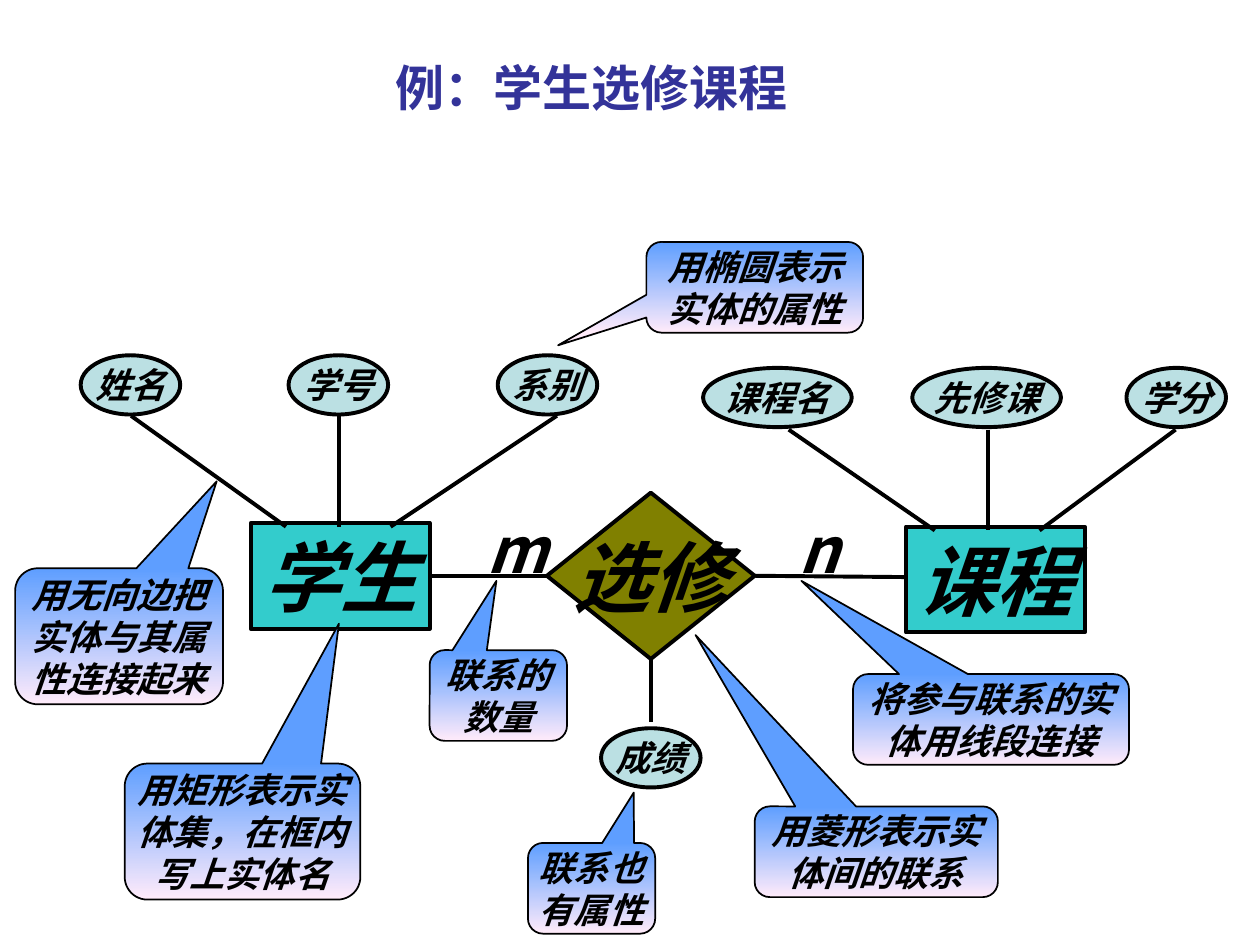
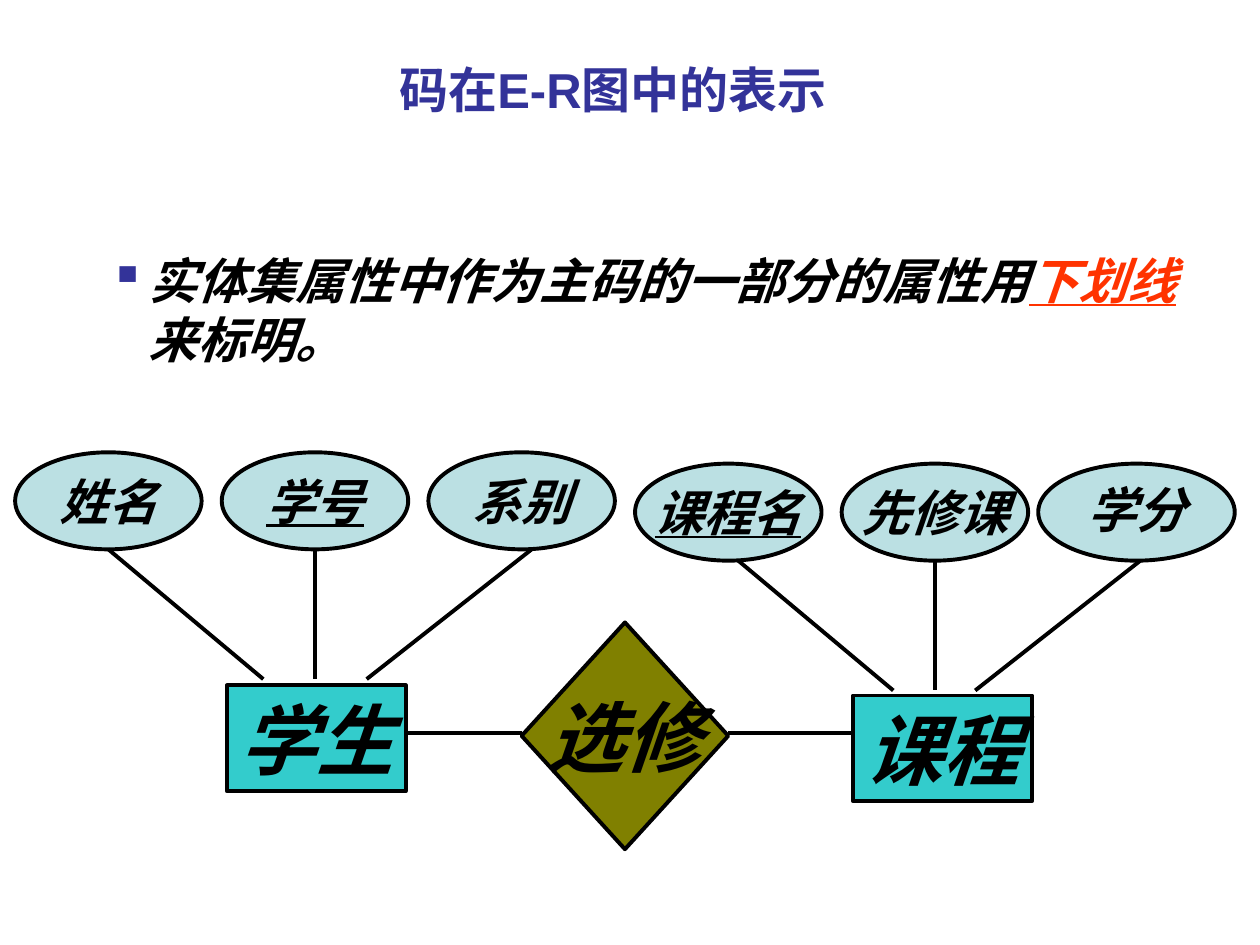
from lxml.etree import SubElement
from pptx import Presentation
from pptx.dml.color import RGBColor
from pptx.enum.shapes import MSO_CONNECTOR as Connector, MSO_SHAPE as Shape
from pptx.enum.text import MSO_ANCHOR as Anchor, PP_ALIGN as Align
from pptx.oxml.ns import qn
from pptx.util import Emu, Pt

BLACK, NAVY, RED = "000000", "333399", "FF3300"
TEAL, OLIVE, PALE = "33CCCC", "808000", "BBE0E3"
CALLOUT_TOP, CALLOUT_BOTTOM = "5E9EFF", "FFEBFA"
LATIN_FONT, CHINESE_FONT = "Arial", "Noto Sans CJK JP"


def px(*lengths):
    return [Emu(length * 9144) for length in lengths]


def colour(value):
    return RGBColor.from_string(value)


class Deck:
    """Holds the diagram style and the current slide."""

    def __init__(self):
        self.presentation = Presentation()
        self.presentation.slide_width, self.presentation.slide_height = px(1000, 750)

    def new_slide(self, title, left, top, font, attribute_size, keys=()):
        layout = self.presentation.slide_layouts[6]
        self.slide = self.presentation.slides.add_slide(layout)
        self.font = font
        self.attribute_size = attribute_size
        self.keys = keys
        self.textbox((left, top, 667, 57), title, 28, LATIN_FONT, NAVY, italic=False)

    def format_run(self, run, size, font, ink=BLACK, italic=True, underline=False):
        run.font.size = Pt(size)
        run.font.name = font
        run.font.bold = True
        run.font.italic = italic
        run.font.color.rgb = colour(ink)
        if underline:
            run.font.underline = True
        SubElement(run.font._element, qn("a:ea"), typeface=font)

    def set_text(self, frame, text, *style, **options):
        frame.text = text
        for paragraph in frame.paragraphs:
            paragraph.alignment = Align.CENTER
            for run in paragraph.runs:
                self.format_run(run, *style, **options)

    def textbox(self, box, text, *style, wrap=True, anchor=Anchor.TOP, **options):
        frame = self.slide.shapes.add_textbox(*px(*box)).text_frame
        frame.word_wrap = wrap
        frame.vertical_anchor = anchor
        self.set_text(frame, text, *style, **options)

    def cardinality(self, text, left):
        self.textbox((left, 421, 33, 29), text, 36, self.font,
                     wrap=False, anchor=Anchor.MIDDLE)

    def shape(self, kind, box, text, size, fill=None, outline=2.25, wrap=False, underline=False):
        shape = self.slide.shapes.add_shape(kind, *px(*box))
        shape.shadow.inherit = False
        shape.line.color.rgb = colour(BLACK)
        shape.line.width = Pt(outline)
        if fill:
            shape.fill.solid()
            shape.fill.fore_color.rgb = colour(fill)
        frame = shape.text_frame
        frame.word_wrap = wrap
        frame.vertical_anchor = Anchor.MIDDLE
        frame.margin_left = frame.margin_right = frame.margin_top = frame.margin_bottom = 0
        self.set_text(frame, text, size, self.font, underline=underline)
        return shape

    def attribute(self, box, text):
        return self.shape(Shape.OVAL, box, text, self.attribute_size, PALE,
                          underline=text in self.keys)

    def relationship(self, box, text):
        self.shape(Shape.DIAMOND, box, text, 44, OLIVE)

    def callout(self, text, box, tip):
        shape = self.shape(Shape.ROUNDED_RECTANGULAR_CALLOUT, box, text, 20, outline=1, wrap=True)
        left, top, width, height = box
        shape.adjustments[0] = (tip[0] - left) / width - 0.5
        shape.adjustments[1] = (tip[1] - top) / height - 0.5
        shape.fill.gradient()
        shape.fill.gradient_angle = 270
        for stop, shade in zip(shape.fill.gradient_stops, (CALLOUT_TOP, CALLOUT_BOTTOM)):
            stop.color.rgb = colour(shade)
        shape.fill.gradient_stops[0].position = 0
        shape.fill.gradient_stops[1].position = 1
        for paragraph in shape.text_frame.paragraphs:
            paragraph.line_spacing = Pt(24)

    def line(self, *ends):
        connector = self.slide.shapes.add_connector(Connector.STRAIGHT, *px(*ends))
        connector.line.color.rgb = colour(BLACK)
        connector.line.width = Pt(2.25)
        SubElement(connector._element.spPr, qn("a:effectLst"))

    def entity(self, name, corner, attributes, top, height, links, link_top, link_bottom):
        self.shape(Shape.RECTANGLE, (*corner, 142, 84), name, 44, TEAL)
        ovals = [self.attribute((left, top, width, height), text)
                 for text, left, width in attributes]
        for upper, lower in links:
            self.line(upper, link_top, lower, link_bottom)
        return ovals

    def bullet(self, box, pieces, size):
        frame = self.slide.shapes.add_textbox(*px(*box)).text_frame
        frame.word_wrap = True
        paragraph = frame.paragraphs[0]
        paragraph.level = 1
        properties = paragraph._p.get_or_add_pPr()
        indent, hanging = px(81, -31)
        properties.set("marL", str(indent))
        properties.set("indent", str(hanging))
        marker_colour = SubElement(properties, qn("a:buClr"))
        SubElement(marker_colour, qn("a:srgbClr"), val=NAVY)
        SubElement(properties, qn("a:buChar"), char="▪")
        for text, ink, underline in pieces:
            run = paragraph.add_run()
            run.text = text
            self.format_run(run, size, LATIN_FONT, ink, underline=underline)


CALLOUTS = [
    ("用矩形表示实体集，在框内写上实体名", (99, 606, 187, 108), (269, 495)),
    ("用椭圆表示实体的属性", (513, 192, 172, 72), (443, 274)),
    ("用无向边把实体与其属性连接起来", (12, 451, 165, 108), (172, 382)),
    ("用菱形表示实体间的联系", (599, 640, 193, 72), (552, 504)),
    ("将参与联系的实体用线段连接", (677, 535, 219, 72), (636, 461)),
    ("联系的\n数量", (341, 516, 109, 72), (394, 461)),
    ("联系也有属性", (419, 669, 101, 72), (503, 629)),
]


def build_example(deck):
    deck.new_slide("例：学生选修课程", 136, 41, CHINESE_FONT, 20)
    deck.relationship((434, 391, 165, 132), "选修")
    deck.entity("学生", (199, 415),
                [("姓名", 64, 79), ("学号", 229, 79), ("系别", 395, 79)], 282, 47,
                [(104, 227), (269, 269), (442, 310)], 330, 418)
    deck.entity("课程", (719, 418),
                [("课程名", 558, 118), ("先修课", 724, 118), ("学分", 894, 79)], 292, 47,
                [(626, 742), (784, 784), (933, 825)], 341, 421)
    deck.attribute((477, 578, 79, 47), "成绩")
    deck.line(343, 457, 434, 457)
    deck.line(599, 457, 718, 458)
    deck.line(517, 522, 517, 573)
    for text, box, tip in CALLOUTS:
        deck.callout(text, box, tip)
    deck.cardinality("m", 376)
    deck.cardinality("n", 624)


def build_keys(deck):
    deck.new_slide("码在E-R图中的表示", 153, 42, LATIN_FONT, 28, keys=("学号", "课程名"))
    deck.bullet((27, 194, 954, 102), [
        ("实体集属性中作为主码的一部分的属性用", BLACK, False),
        ("下划线", RED, True),
        ("来标明。", BLACK, False),
    ], 28)
    deck.relationship((414, 494, 164, 180), "选修")
    deck.entity("学生", (180, 544),
                [("姓名", 12, 148), ("学号", 176, 148), ("系别", 340, 148)], 359, 77,
                [(86, 209), (250, 250), (422, 291)], 436, 539)
    ovals = deck.entity("课程", (677, 552),
                        [("课程名", 504, 148), ("先修课", 668, 148), ("学分", 824, 156)], 368, 77,
                        [(586, 709), (742, 742), (905, 774)], 445, 548)
    ovals[-1].text_frame.paragraphs[0].line_spacing = 0.9
    deck.line(323, 582, 414, 582)
    deck.line(578, 582, 676, 582)


def main():
    deck = Deck()
    build_example(deck)
    build_keys(deck)
    deck.presentation.save("out.pptx")


if __name__ == "__main__":
    main()
